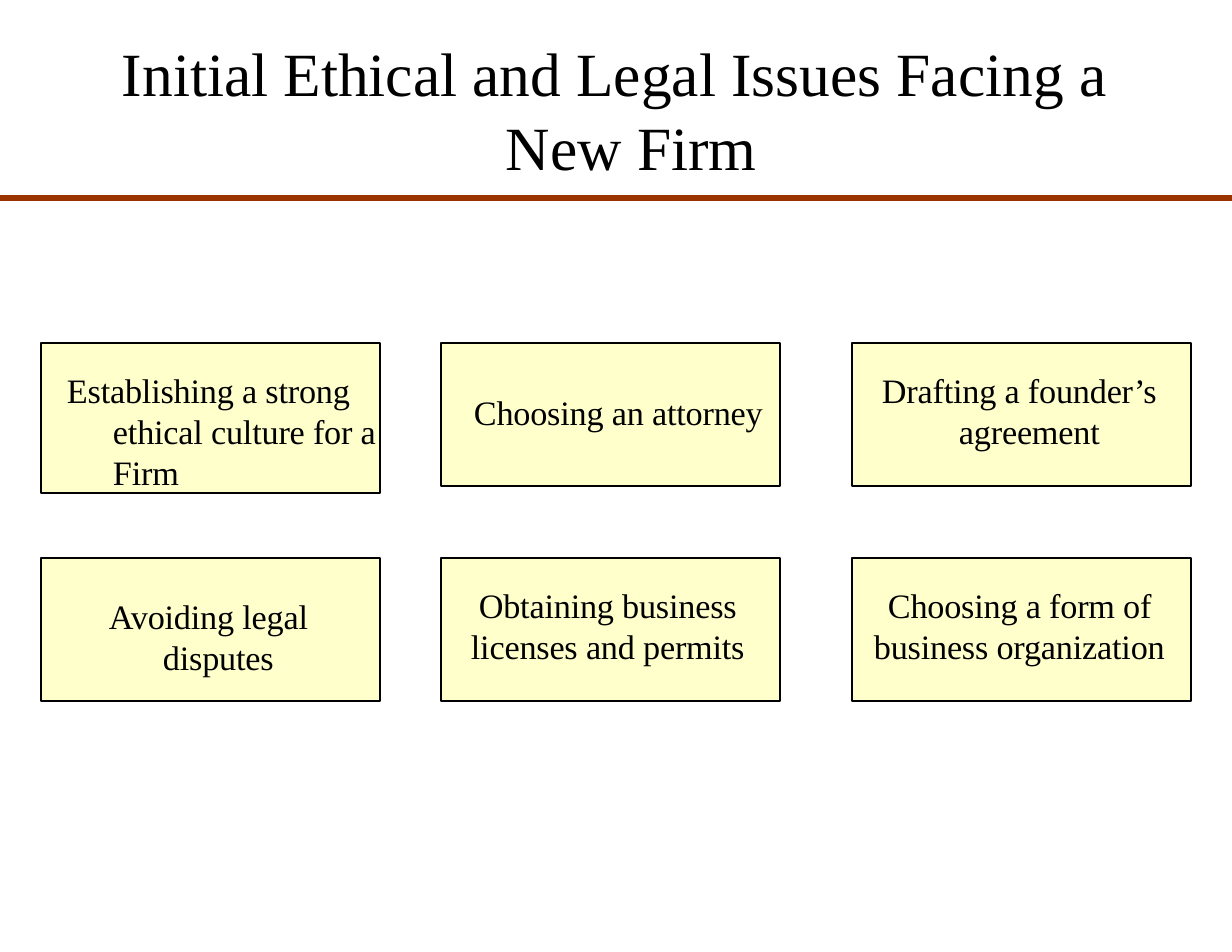
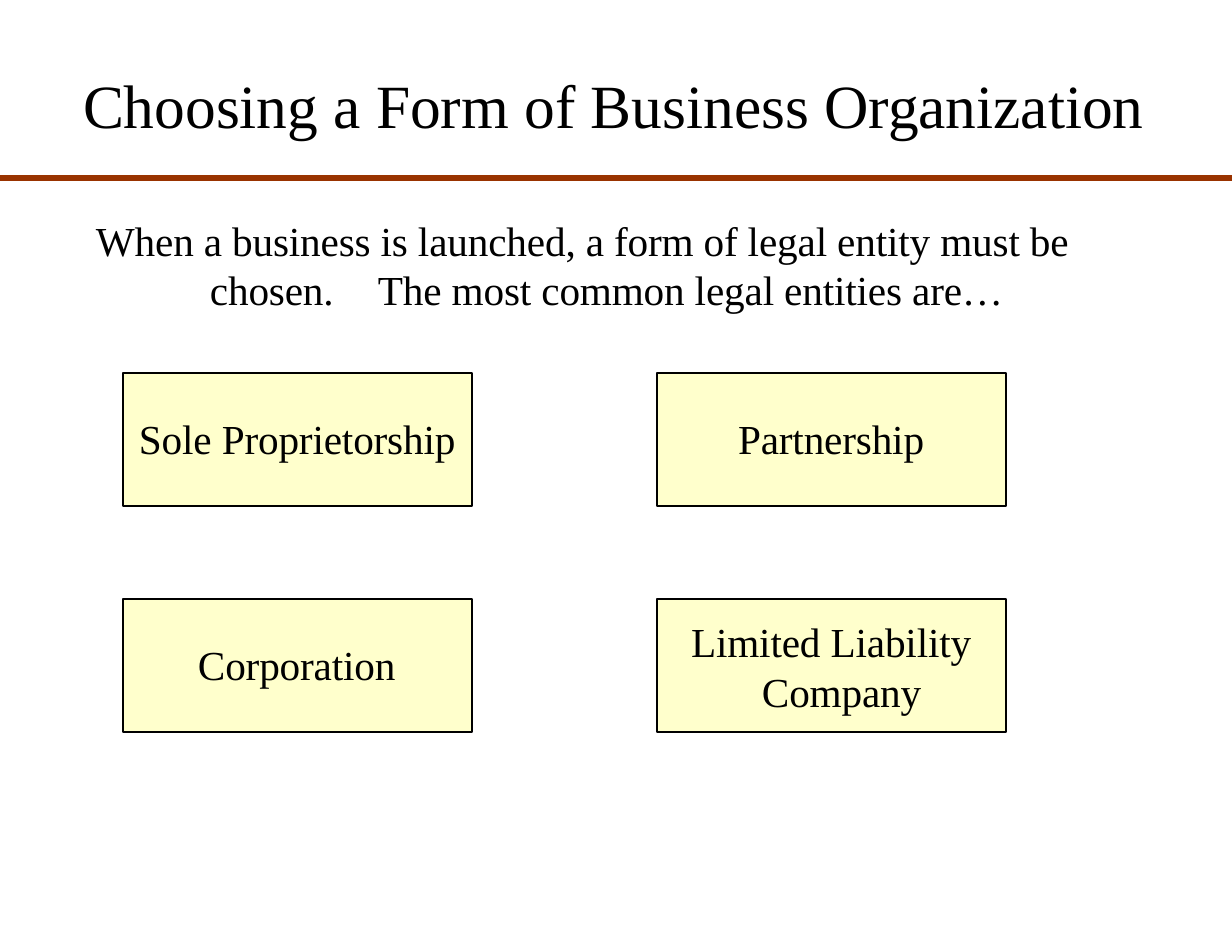
"""Builds two slides on the legal and ethical issues of founding a firm."""
from lxml.etree import SubElement
from pptx import Presentation
from pptx.dml.color import RGBColor
from pptx.enum.shapes import MSO_CONNECTOR, MSO_SHAPE
from pptx.enum.text import MSO_ANCHOR, PP_ALIGN
from pptx.oxml.ns import qn
from pptx.util import Pt

BLACK = RGBColor(0x00, 0x00, 0x00)
CREAM = RGBColor(0xFF, 0xFF, 0xCC)
RUST = RGBColor(0x99, 0x33, 0x00)
FONT = "Times New Roman"
PAGE_WIDTH, PAGE_HEIGHT = 1232, 952

TITLE = {"size": 39.5, "tracking": 0}
LEAD = {"size": 26.5, "tracking": -10, "line": 31.7}
ISSUE = {"size": 22, "tracking": -10}
ENTITY = {"size": 26.5, "tracking": -10}

SLIDES = [
    {
        "title": ("Initial Ethical and Legal Issues Facing a New Firm",
                  (120, 34, 992, 151), (1, 2, 386)),
        "rule": 198,
        "columns": (41, 441, 852),
        "rows": (343, 558),
        "box": (339, 143),
        "style": ISSUE,
        "cards": [
            {"text": "Establishing a strong ethical culture for a Firm",
             "inset": (26, 26, 72), "height": 150},
            {"text": "Choosing an attorney", "inset": (48, 33, 33)},
            {"text": "Drafting a founder’s agreement", "inset": (26, 30, 107)},
            {"text": "Avoiding legal disputes", "inset": (37, 68, 122)},
            {"text": "Obtaining business licenses and permits", "inset": (26, 38, 30)},
            {"text": "Choosing a form of business organization", "inset": (26, 36, 22)},
        ],
    },
    {
        "title": ("Choosing a Form of Business Organization",
                  (82, 65, 1068, 76), (2, 1, 1)),
        "rule": 178,
        "lead": ("When a business is launched, a form of legal entity must be "
                 "chosen.\tThe most common legal entities are…",
                 (95, 212, 981, 102), (3, 1, 115)),
        "tab": 329,
        "columns": (123, 657),
        "rows": (373, 599),
        "box": (349, 133),
        "style": ENTITY,
        "cards": [
            {"text": "Sole Proprietorship", "inset": (40, 16, 16)},
            {"text": "Partnership", "inset": (40, 81, 81)},
            {"text": "Corporation", "inset": (40, 75, 75)},
            {"text": "Limited Liability Company", "inset": (18, 34, 105), "line": 31.7},
        ],
    },
]


def px(length):
    """Turn pixels into EMU."""
    return round(length * 914400 / 112)


def write(shape, text, inset, style, tab=None):
    """Write one paragraph with a top inset, a first indent and a hanging indent."""
    top, first, rest = inset
    frame = shape.text_frame
    margins = {"margin_left": 0, "margin_right": 0, "margin_bottom": 0,
               "margin_top": px(top), "word_wrap": True,
               "vertical_anchor": MSO_ANCHOR.TOP}
    for name, value in margins.items():
        setattr(frame, name, value)
    para = frame.paragraphs[0]
    para.alignment = PP_ALIGN.LEFT
    if "line" in style:
        para.line_spacing = Pt(style["line"])
    properties = para._p.get_or_add_pPr()
    properties.set("marL", str(px(rest)))
    properties.set("indent", str(px(first - rest)))
    if tab:
        tabs = SubElement(properties, qn("a:tabLst"))
        SubElement(tabs, qn("a:tab"), pos=str(px(tab)), algn="l")
    span = para.add_run()
    span.text = text
    for name, value in {"name": FONT, "size": Pt(style["size"])}.items():
        setattr(span.font, name, value)
    span.font.color.rgb = BLACK
    span._r.get_or_add_rPr().set("spc", str(style["tracking"]))


def add_text(page, content, style, tab=None):
    """Add a plain text box."""
    text, place, inset = content
    box = page.shapes.add_textbox(*map(px, place))
    write(box, text, inset, style, tab)


def add_rule(page, top):
    """Draw the rule across the page under the title."""
    rule = page.shapes.add_connector(
        MSO_CONNECTOR.STRAIGHT, 0, px(top), px(PAGE_WIDTH), px(top))
    rule.line.color.rgb = RUST
    rule.line.width = Pt(3.25)
    SubElement(rule._element.spPr, qn("a:effectLst"))


def add_cards(page, content):
    """Lay the cards out row by row."""
    width, height = content["box"]
    columns = content["columns"]
    for index, card in enumerate(content["cards"]):
        row, column = divmod(index, len(columns))
        place = (columns[column], content["rows"][row],
                 width, card.get("height", height))
        box = page.shapes.add_shape(MSO_SHAPE.RECTANGLE, *map(px, place))
        box.shadow.inherit = False
        box.fill.solid()
        box.fill.fore_color.rgb = CREAM
        box.line.color.rgb = BLACK
        box.line.width = Pt(0.84)
        write(box, card["text"], card["inset"], content["style"] | card)


def main():
    """Build and save the deck."""
    deck = Presentation()
    deck.slide_width, deck.slide_height = px(PAGE_WIDTH), px(PAGE_HEIGHT)
    for content in SLIDES:
        page = deck.slides.add_slide(deck.slide_layouts[6])
        add_text(page, content["title"], TITLE)
        add_rule(page, content["rule"])
        if "lead" in content:
            add_text(page, content["lead"], LEAD, content["tab"])
        add_cards(page, content)
    deck.save("out.pptx")


if __name__ == "__main__":
    main()
